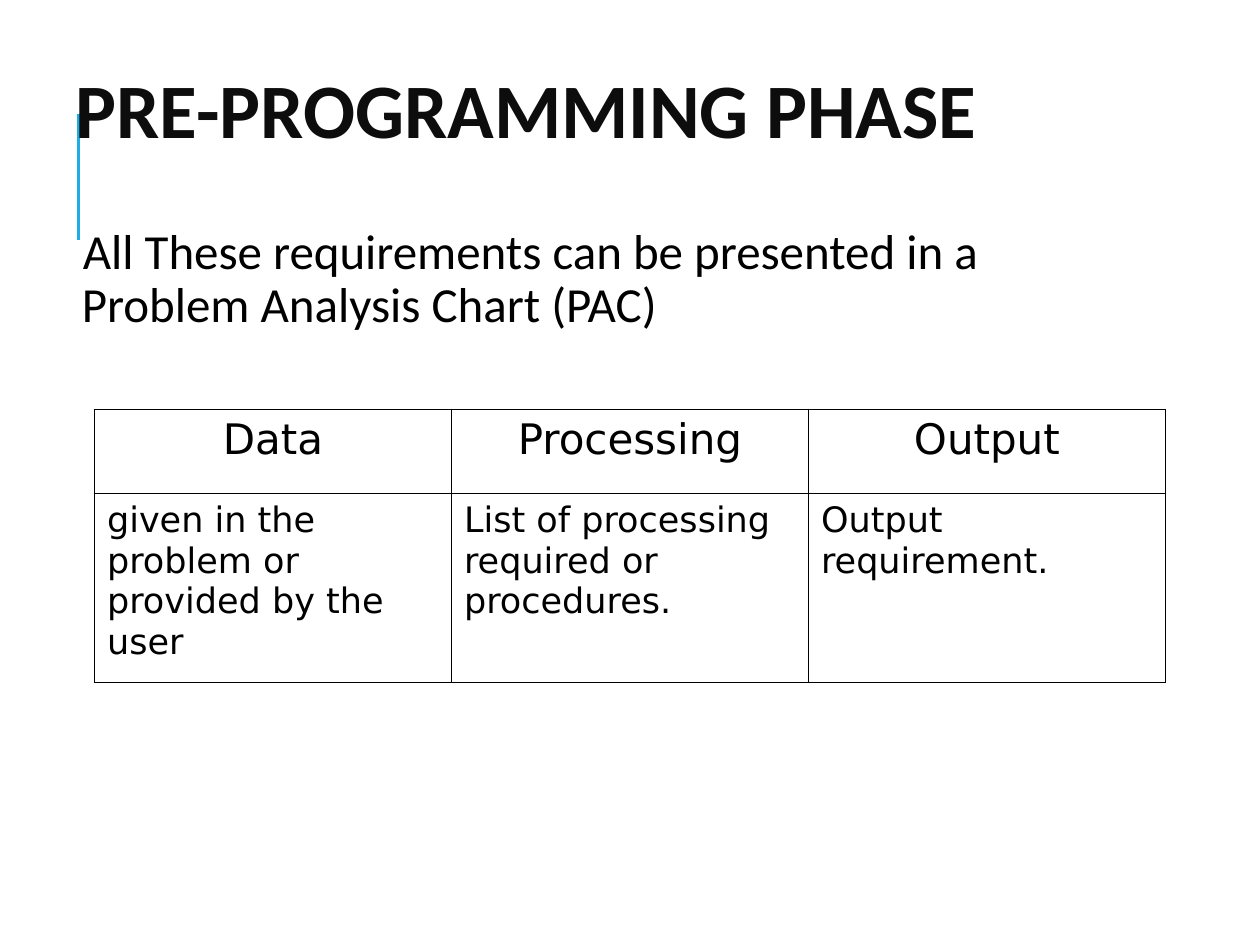
from lxml import etree
from pptx import Presentation
from pptx.dml.color import RGBColor
from pptx.enum.shapes import MSO_CONNECTOR
from pptx.enum.text import MSO_ANCHOR, MSO_AUTO_SIZE, PP_ALIGN
from pptx.oxml.ns import qn
from pptx.util import Pt

LEFT, CENTER = PP_ALIGN.LEFT, PP_ALIGN.CENTER
TOP, MIDDLE = MSO_ANCHOR.TOP, MSO_ANCHOR.MIDDLE
NO_FIT = MSO_AUTO_SIZE.NONE
STRAIGHT = MSO_CONNECTOR.STRAIGHT

BLACK, ACCENT = "000000", "1CADE4"
OUTER, INNER = 1.08, 0.45
TITLE_FONT = {"name": "Calibri", "size": Pt(44), "bold": True}
BODY_FONT = {"name": "Calibri", "size": Pt(28)}
HEAD_FONT = {"name": "DejaVu Sans", "size": Pt(24)}
CELL_FONT = {"name": "DejaVu Sans", "size": Pt(20)}

ROWS = [
    ["Data", "Processing", "Output"],
    [
        "given in the problem or provided by the user",
        "List of processing required or procedures.",
        "Output requirement.",
    ],
]


def rgb(color):
    return RGBColor.from_string(color)


def set_attrs(obj, values):
    for name, value in values.items():
        setattr(obj, name, value)


def write(p, text, font, color, **layout):
    set_attrs(p, {"space_before": Pt(0), **layout})
    r = p.add_run()
    r.text = text
    set_attrs(r.font, font)
    r.font.color.rgb = rgb(color)


def place(sp, box):
    names = ("left", "top", "width", "height")
    set_attrs(sp, {name: Pt(v) for name, v in zip(names, box)})


def add_title(s, box, text):
    sp = s.shapes.title
    place(sp, box)
    tf = sp.text_frame
    set_attrs(tf, {"vertical_anchor": MIDDLE, "auto_size": NO_FIT, "word_wrap": True})
    write(tf.paragraphs[0], text, TITLE_FONT, "0D0D0D", alignment=LEFT, line_spacing=0.8)


def add_accent_line(s, box):
    x, y, w, h = box
    cn = s.shapes.add_connector(STRAIGHT, Pt(x), Pt(y + h), Pt(x + w), Pt(y))
    cn.line.color.rgb = rgb(ACCENT)
    cn.line.width = Pt(1.5)
    etree.SubElement(cn.element.spPr, qn("a:effectLst"))
    s.shapes.title.element.addprevious(cn.element)


def add_body(s, box, text):
    sp = s.placeholders[1]
    place(sp, box)
    tf = sp.text_frame
    set_attrs(tf, {"vertical_anchor": TOP, "auto_size": NO_FIT, "word_wrap": True})
    set_attrs(tf, {f"margin_{side}": Pt(3.6) for side in ("left", "top", "right", "bottom")})
    p = tf.paragraphs[0]
    pPr = p._p.get_or_add_pPr()
    pPr.set("marL", str(Pt(7.2)))
    pPr.set("indent", str(-Pt(7.2)))
    clr = etree.SubElement(pPr, qn("a:buClr"))
    etree.SubElement(clr, qn("a:srgbClr"), val=ACCENT)
    etree.SubElement(pPr, qn("a:buChar"), char=" ")
    write(p, text, BODY_FONT, BLACK, line_spacing=0.9, space_after=Pt(2))


def set_borders(cell, widths):
    tcPr = cell._tc.get_or_add_tcPr()
    for side, width in widths.items():
        ln = etree.SubElement(tcPr, qn(f"a:ln{side}"), w=str(Pt(width)))
        fill = etree.SubElement(ln, qn("a:solidFill"))
        etree.SubElement(fill, qn("a:srgbClr"), val=BLACK)


def add_chart_table(s, box, rows, heights):
    n_rows, n_cols = len(rows), len(rows[0])
    table = s.shapes.add_table(n_rows, n_cols, *map(Pt, box)).table
    set_attrs(table, {"first_row": False, "horz_banding": False})
    for col in table.columns:
        col.width = Pt(box[2] / n_cols)
    for i, texts in enumerate(rows):
        table.rows[i].height = Pt(heights[i])
        font, align = (CELL_FONT, LEFT) if i else (HEAD_FONT, CENTER)
        for j, text in enumerate(texts):
            cell = table.cell(i, j)
            edges = {"L": j == 0, "R": j == n_cols - 1, "T": i == 0, "B": i == n_rows - 1}
            set_borders(cell, {k: OUTER if edge else INNER for k, edge in edges.items()})
            cell.fill.background()
            write(cell.text_frame.paragraphs[0], text, font, BLACK, alignment=align)


def main():
    prs = Presentation()
    set_attrs(prs, {"slide_width": Pt(720), "slide_height": Pt(540)})
    s = prs.slides.add_slide(prs.slide_layouts[1])
    add_title(s, (36, 21.6, 648, 90), "PRE-PROGRAMMING PHASE")
    add_accent_line(s, (45, 65, 0, 72))
    add_body(
        s,
        (36, 126, 618, 90),
        "All These requirements can be presented in a Problem Analysis Chart (PAC)",
    )
    add_chart_table(s, (54, 234, 612, 156), ROWS, (48, 108))
    prs.save("out.pptx")


if __name__ == "__main__":
    main()
